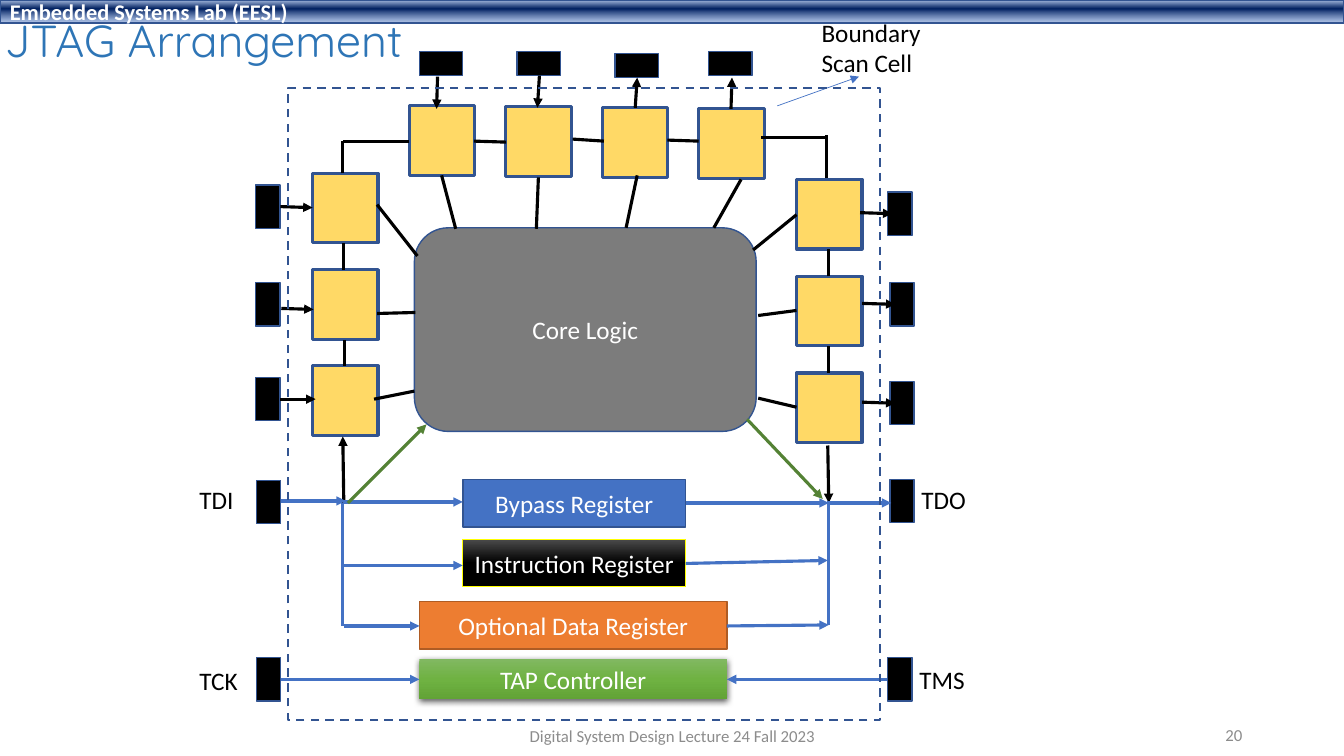
"""Builds the JTAG Arrangement slide: boundary scan cells around core logic, with registers and test pins."""
from lxml.etree import SubElement
from pptx import Presentation
from pptx.dml.color import RGBColor
from pptx.enum.dml import MSO_LINE
from pptx.enum.shapes import MSO_CONNECTOR, MSO_SHAPE
from pptx.enum.text import MSO_ANCHOR, PP_ALIGN
from pptx.oxml.ns import qn
from pptx.util import Inches, Pt

COLORS = {
    "white": "FFFFFF", "black": "000000", "gray": "8C8C8C", "title": "2E75B6",
    "cell": "FFD966", "edge": "325491", "core": "7C7C7C", "blue": "4472C4",
    "green": "548235", "orange": "ED7D31", "rust": "AF5C24", "yellow": "FFFF00",
}
GRADIENTS = {
    "header": [(2, "ABC0E4", 100), (38, "002060", 100), (93, "7E9ED6", 64)],
    "instruction": [(0, "4B4B4B", 100), (50, "000000", 100), (100, "000000", 100)],
    "tap": [(0, "81B861", 100), (50, "6FB242", 100), (100, "62A336", 100)],
}

deck = Presentation()
deck.slide_width, deck.slide_height = Inches(13.33), Inches(7.5)
page = deck.slides.add_slide(deck.slide_layouts[6])


def write(box, text, size=18, color="black", font="Calibri", bold=False,
          align=PP_ALIGN.LEFT, anchor=MSO_ANCHOR.MIDDLE, wrap=True, spacing=None):
    """Put text in a shape with one format for all its paragraphs."""
    frame = box.text_frame
    frame.text = text
    frame.word_wrap = wrap
    frame.vertical_anchor = anchor
    for para in frame.paragraphs:
        para.alignment = align
        para.line_spacing = spacing
        for span in para.runs:
            span.font.name, span.font.size, span.font.bold = font, Pt(size), bold
            span.font.color.rgb = RGBColor.from_string(COLORS[color])


def add_block(place, fill=None, line="edge", width=1, kind=MSO_SHAPE.RECTANGLE):
    """Add a preset shape with a plain, gradient or empty fill."""
    block = page.shapes.add_shape(kind, *map(Inches, place))
    block.shadow.inherit = False
    if fill in GRADIENTS:
        block.fill.gradient()
        block.fill.gradient_angle = 270
        stops = block._element.spPr.find(qn("a:gradFill")).find(qn("a:gsLst"))
        for stop in list(stops):
            stops.remove(stop)
        for position, shade, opacity in GRADIENTS[fill]:
            stop = SubElement(stops, qn("a:gs"), pos=str(position * 1000))
            tint = SubElement(stop, qn("a:srgbClr"), val=shade)
            SubElement(tint, qn("a:alpha"), val=str(opacity * 1000))
    elif fill:
        block.fill.solid()
        block.fill.fore_color.rgb = RGBColor.from_string(COLORS[fill])
    else:
        block.fill.background()
    if line:
        block.line.color.rgb = RGBColor.from_string(COLORS[line])
        block.line.width = Pt(width)
    else:
        block.line.fill.background()
    return block


header = add_block((0, 0, 13.33, 0.23), "header")
write(header, "Embedded Systems Lab (EESL)", size=16, color="white", bold=True)

cells = [(3.1, 1.72 + 0.955 * row) for row in range(3)]
cells += [(4.06 + 0.957 * column, 1.05 + 0.01 * column) for column in range(4)]
cells += [(7.9, 1.78 + 0.96 * row) for row in range(3)]
for left, top in cells:
    add_block((left, top, 0.65, 0.69), "cell", width=2.25)

top_pads = [(4.16, 0.51), (5.13, 0.51), (6.1, 0.53), (7.03, 0.51)]
side_pads = [
    (2.44, 1.93), (2.44, 2.9), (2.44, 3.84), (2.45, 4.86), (2.45, 6.62),
    (8.71, 2), (8.73, 2.9), (8.73, 3.88), (8.73, 4.85), (8.71, 6.62),
]
for pads, angle in ((top_pads, 0), (side_pads, 90)):
    for left, top in pads:
        pad = add_block((left, top, 0.43, 0.24), "black")
        pad.rotation = angle

registers = [
    ("Bypass Register", (4.59, 4.76, 2.21, 0.47), "blue", "edge", 1),
    ("Instruction Register", (4.59, 5.35, 2.21, 0.47), "instruction", "yellow", 0.5),
    ("Optional Data Register", (4.16, 5.97, 3.05, 0.47), "orange", "rust", 1),
    ("TAP Controller", (4.16, 6.54, 3.05, 0.4), "tap", None, 0),
]
for name, place, fill, line, width in registers:
    register = add_block(place, fill, line, width)
    write(register, name, color="white", align=PP_ALIGN.CENTER)
effects = register._element.spPr.find(qn("a:effectLst"))
shadow = SubElement(effects, qn("a:outerShdw"), blurRad=str(Pt(4.5)), dist=str(Pt(1.5)),
                    dir="5400000", algn="ctr", rotWithShape="0")
shade = SubElement(shadow, qn("a:srgbClr"), val=COLORS["black"])
SubElement(shade, qn("a:alpha"), val="63000")

core = add_block((4.11, 2.26, 3.39, 2.02), "core", kind=MSO_SHAPE.ROUNDED_RECTANGLE)
write(core, "Core Logic", color="white", align=PP_ALIGN.CENTER)

scan_chain = [
    (3.42, 3.63, 3.42, 3.37), (3.41, 2.68, 3.41, 2.41), (3.4, 1.72, 3.4, 1.4),
    (4.06, 1.4, 3.4, 1.4), (5.02, 1.41, 4.7, 1.4), (5.99, 1.4, 5.68, 1.38),
    (6.93, 1.4, 6.62, 1.39), (8.21, 1.36, 7.55, 1.36), (8.2, 1.77, 8.2, 1.34),
    (8.22, 2.74, 8.22, 2.47), (8.22, 3.7, 8.22, 3.43),
]
core_links = [
    (4.11, 3.88, 3.71, 3.96), (4.12, 3.1, 3.74, 3.11), (3.74, 2.03, 4.14, 2.54),
    (4.38, 1.74, 4.52, 2.27), (5.34, 1.76, 5.32, 2.27), (6.32, 1.74, 6.21, 2.26),
    (7.35, 1.78, 7.08, 2.26), (7.9, 2.13, 7.47, 2.48), (7.9, 3.08, 7.52, 3.13),
    (7.9, 4.04, 7.52, 3.95),
]
pad_arrows = [
    (2.78, 2.05, 3.1, 2.06), (2.79, 3.06, 3.11, 3.07), (2.78, 3.96, 3.13, 3.96),
    (4.34, 0.76, 4.33, 1.08), (5.35, 0.75, 5.33, 1.07), (6.3, 1.07, 6.32, 0.77),
    (7.25, 1.08, 7.26, 0.77), (8.53, 2.11, 8.85, 2.12), (8.55, 3.01, 8.88, 3.02),
    (8.55, 3.99, 8.88, 4), (3.41, 4.99, 3.4, 4.33), (8.21, 4.42, 8.22, 4.99),
]
register_rails = [(3.4, 4.99, 3.4, 6.21), (8.22, 4.99, 8.22, 6.2)]
register_arrows = [
    (2.79, 4.97, 3.43, 4.97), (3.4, 4.98, 4.59, 4.98), (6.8, 4.99, 8.22, 4.99),
    (8.2, 4.99, 8.84, 4.99), (3.4, 5.61, 4.59, 5.61), (6.8, 5.59, 8.21, 5.56),
    (3.41, 6.21, 4.16, 6.21), (7.21, 6.21, 8.22, 6.2),
    (2.79, 6.74, 4.16, 6.74), (8.8, 6.74, 7.21, 6.74),
]
core_arrows = [(3.45, 4.99, 4.23, 4.21), (7.41, 4.16, 8.16, 4.95)]
callout = [(7.71, 1.05, 8.52, 0.76)]
wire_groups = [
    (scan_chain, "black", 2.25, False), (core_links, "black", 2.25, False),
    (pad_arrows, "black", 2.25, True), (register_rails, "blue", 2.25, False),
    (register_arrows, "blue", 2.25, True), (core_arrows, "green", 2.25, True),
    (callout, "blue", 0.5, True),
]
for wires, color, width, arrow in wire_groups:
    for ends in wires:
        wire = page.shapes.add_connector(MSO_CONNECTOR.STRAIGHT, *map(Inches, ends))
        wire.line.color.rgb = RGBColor.from_string(COLORS[color])
        wire.line.width = Pt(width)
        if arrow:
            SubElement(wire.line._get_or_add_ln(), qn("a:tailEnd"), type="triangle")
        SubElement(wire._element.spPr, qn("a:effectLst"))

chip_frame = add_block((2.86, 0.87, 5.87, 6.27), width=1.5)
chip_frame.line.dash_style = MSO_LINE.DASH

label = {"anchor": MSO_ANCHOR.TOP, "wrap": False}
footer = {"size": 12, "color": "gray"}
texts = [
    ("JTAG Arrangement", (-0.05, 0.08, 5.71, 0.69),
     {"size": 32, "color": "title", "font": "Quicksand", "spacing": 0.9}),
    ("Boundary\nScan Cell", (8.05, 0.12, 1.2, 0.71), label),
    ("TDI", (1.88, 4.76, 0.54, 0.4), label),
    ("TDO", (9.04, 4.76, 0.65, 0.4), label),
    ("TCK", (1.88, 6.55, 0.59, 0.4), label),
    ("TMS", (9.02, 6.54, 0.66, 0.4), label),
    ("Digital System Design Lecture 24 Fall 2023", (4.42, 7.1, 4.5, 0.4),
     {**footer, "align": PP_ALIGN.CENTER}),
    ("20", (9.42, 7.09, 3, 0.4), {**footer, "align": PP_ALIGN.RIGHT}),
]
for text, place, style in texts:
    write(page.shapes.add_textbox(*map(Inches, place)), text, **style)

deck.save("out.pptx")
